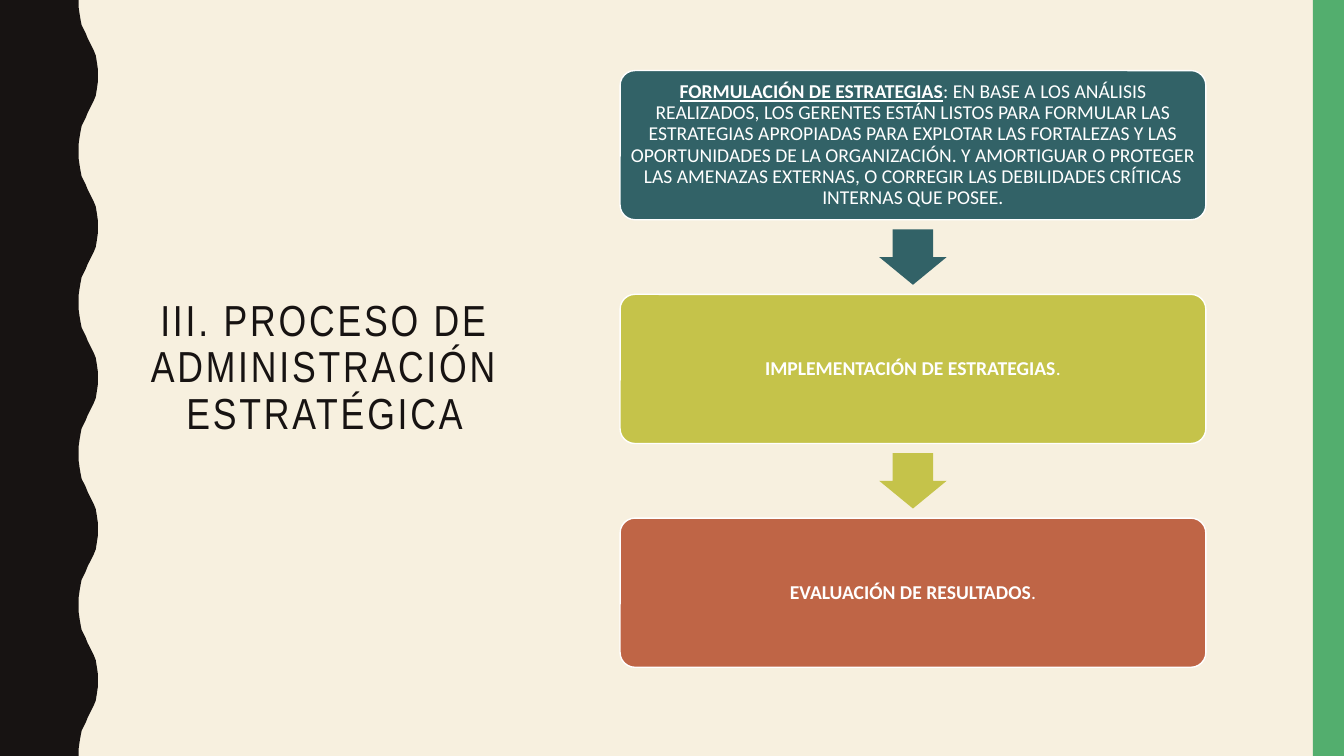
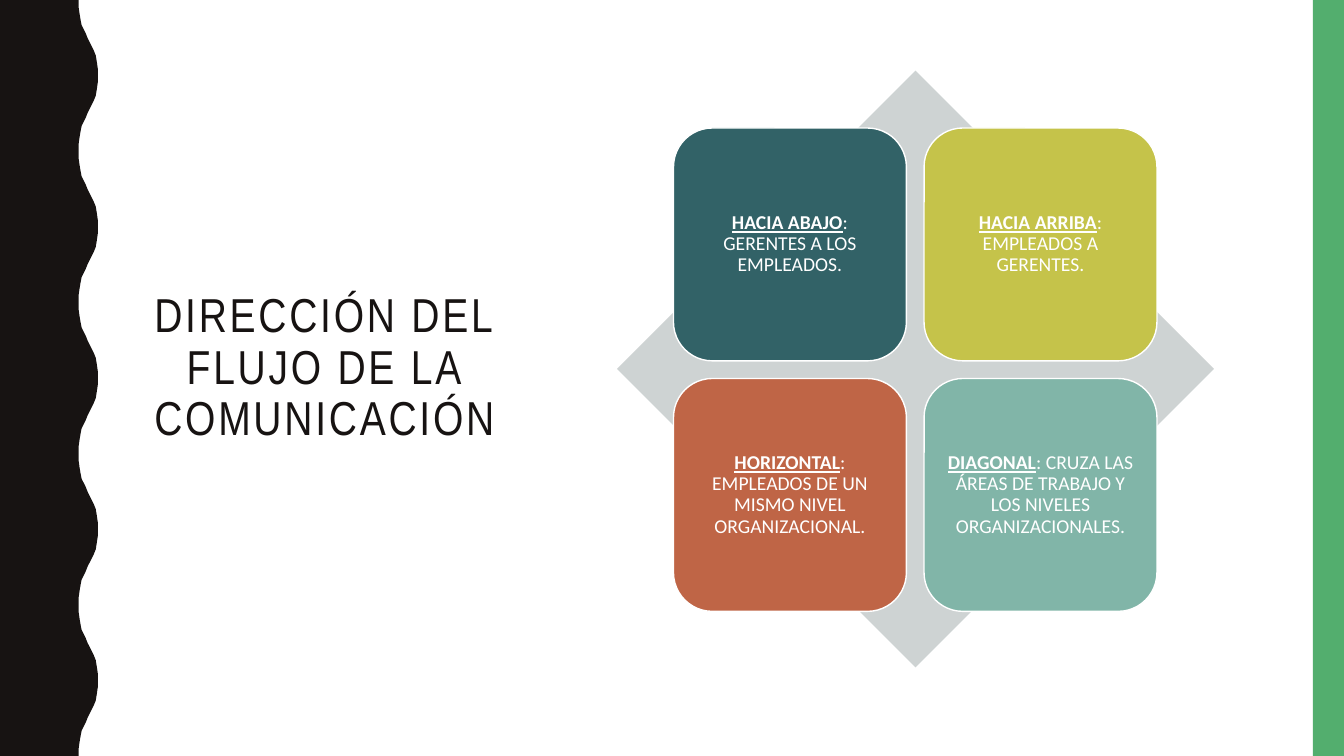
from pptx import Presentation
from pptx.dml.color import RGBColor
from pptx.enum.shapes import MSO_SHAPE
from pptx.enum.text import MSO_ANCHOR, MSO_AUTO_SIZE, PP_ALIGN
from pptx.util import Inches, Pt

RECT, ROUND = MSO_SHAPE.RECTANGLE, MSO_SHAPE.ROUNDED_RECTANGLE
DIAMOND, DOWN = MSO_SHAPE.DIAMOND, MSO_SHAPE.DOWN_ARROW
MIDDLE, CENTER, FIXED = MSO_ANCHOR.MIDDLE, PP_ALIGN.CENTER, MSO_AUTO_SIZE.NONE

WIDE, HIGH = 13.33, 7.5
INK, GREEN, WHITE, CREAM, GREY = "171312", "53AE6E", "FFFFFF", "F7F0DF", "CED3D3"
TEAL, LIME, RUST, MINT = "326267", "C5C34A", "BF6546", "81B5A8"

# Half of one wave; its mirror completes the period
PERIOD = 1.5
HALF = [(0.78, 0), (0.78, 0.07), (0.79, 0.14), (0.8, 0.2), (0.81, 0.25),
        (0.83, 0.29), (0.85, 0.33), (0.87, 0.38), (0.89, 0.42), (0.91, 0.46),
        (0.93, 0.5), (0.95, 0.55), (0.96, 0.61), (0.97, 0.68), (0.97, 0.75)]
WAVE = HALF + [(x, PERIOD - y) for x, y in reversed(HALF[:-1])]

STEPS = [
    (TEAL, "FORMULACIÓN DE ESTRATEGIAS",
     ": EN BASE A LOS ANÁLISIS REALIZADOS, LOS GERENTES ESTÁN LISTOS PARA "
     "FORMULAR LAS ESTRATEGIAS APROPIADAS PARA EXPLOTAR LAS FORTALEZAS Y LAS "
     "OPORTUNIDADES DE LA ORGANIZACIÓN. Y AMORTIGUAR O PROTEGER LAS AMENAZAS "
     "EXTERNAS, O CORREGIR LAS DEBILIDADES CRÍTICAS INTERNAS QUE POSEE.", True),
    (LIME, "IMPLEMENTACIÓN DE ESTRATEGIAS", ".", False),
    (RUST, "EVALUACIÓN DE RESULTADOS", ".", False),
]
FLOWS = [
    (TEAL, "HACIA ABAJO", ": GERENTES A LOS EMPLEADOS."),
    (LIME, "HACIA ARRIBA", ": EMPLEADOS A GERENTES."),
    (RUST, "HORIZONTAL", ": EMPLEADOS DE UN MISMO NIVEL ORGANIZACIONAL."),
    (MINT, "DIAGONAL",
     ": CRUZA LAS ÁREAS DE TRABAJO Y LOS NIVELES ORGANIZACIONALES."),
]


def color(code):
    return RGBColor.from_string(code)


def put(obj, **values):
    for name, value in values.items():
        setattr(obj, name, value)


class Deck:
    """Holds the shared style and the slide being filled."""

    def __init__(self):
        self.prs = Presentation()
        put(self.prs, slide_width=Inches(WIDE), slide_height=Inches(HIGH))
        self.slide = None

    def page(self, title, size, back):
        self.slide = self.prs.slides.add_slide(self.prs.slide_layouts[5])
        fill = self.slide.background.fill
        fill.solid()
        fill.fore_color.rgb = color(back)
        self.wave()
        self.shape(RECT, 13.02, 0, 0.31, HIGH, GREEN)
        self.title(title, size)

    def title(self, text, size):
        head = self.slide.shapes.title
        put(head, left=Inches(1.37), top=Inches(0.7),
            width=Inches(3.7), height=Inches(5.92))
        frame = head.text_frame
        put(frame, word_wrap=True, auto_size=FIXED, vertical_anchor=MIDDLE)
        para = frame.paragraphs[0]
        put(para, alignment=CENTER, line_spacing=0.9)
        run = self.run(para, text, "Arial Narrow", size, INK)
        run.font._element.set("spc", "200")

    def run(self, para, text, face, size, ink, **look):
        run = para.add_run()
        run.text = text
        put(run.font, name=face, size=Pt(size), **look)
        run.font.color.rgb = color(ink)
        return run

    def paint(self, shape, fill, edge=None):
        shape.shadow.inherit = False
        shape.fill.solid()
        shape.fill.fore_color.rgb = color(fill)
        if edge:
            shape.line.color.rgb = color(edge)
            shape.line.width = Pt(1)
        else:
            shape.line.fill.background()

    def wave(self):
        """Draw the dark left band with its wavy right edge."""
        count = int(HIGH / PERIOD)
        edge = [(x, y + PERIOD * i) for i in range(count) for x, y in WAVE]
        pen = self.slide.shapes.build_freeform(0, 0)
        pen.add_line_segments([(Inches(x), Inches(y))
                               for x, y in edge + [(0, HIGH)]])
        self.paint(pen.convert_to_shape(), INK)

    def shape(self, kind, x, y, w, h, fill, edge=None, adj=()):
        shape = self.slide.shapes.add_shape(
            kind, Inches(x), Inches(y), Inches(w), Inches(h))
        for i, value in enumerate(adj):
            shape.adjustments[i] = value
        self.paint(shape, fill, edge)
        return shape

    def card(self, x, y, w, h, fill, head, body, under=True, adj=()):
        """Add a rounded box with a bold lead and plain text after it."""
        frame = self.shape(ROUND, x, y, w, h, fill, WHITE, adj).text_frame
        pad = Inches(0.06)
        put(frame, word_wrap=True, vertical_anchor=MIDDLE, margin_left=pad,
            margin_right=pad, margin_top=pad, margin_bottom=pad)
        para = frame.paragraphs[0]
        put(para, alignment=CENTER, line_spacing=0.9)
        self.run(para, head, "Calibri", 14, WHITE, bold=True, underline=under)
        self.run(para, body, "Calibri", 14, WHITE, bold=False)


def steps(deck):
    deck.page("III. PROCESO DE ADMINISTRACIÓN ESTRATÉGICA", 31, CREAM)
    left, top, wide, high, pitch = 6.15, 0.7, 5.81, 1.48, 2.22
    across, down = 0.67, 0.55
    for i, (fill, head, body, under) in enumerate(STEPS):
        y = top + pitch * i
        deck.card(left, y, wide, high, fill, head, body, under, [0.1])
        if i < len(STEPS) - 1:
            deck.shape(DOWN, left + (wide - across) / 2,
                       y + (high + pitch - down) / 2, across, down, fill,
                       adj=[0.6, 0.5])


def flows(deck):
    deck.page("DIRECCIÓN DEL FLUJO DE LA COMUNICACIÓN", 34, WHITE)
    deck.shape(DIAMOND, 6.12, 0.7, 5.92, 5.92, GREY)
    side, pitch = 2.31, 2.485
    for i, (fill, head, body) in enumerate(FLOWS):
        row, col = divmod(i, 2)
        deck.card(6.68 + pitch * col, 1.27 + pitch * row, side, side,
                  fill, head, body)


def main():
    deck = Deck()
    steps(deck)
    flows(deck)
    deck.prs.save("out.pptx")


if __name__ == "__main__":
    main()
